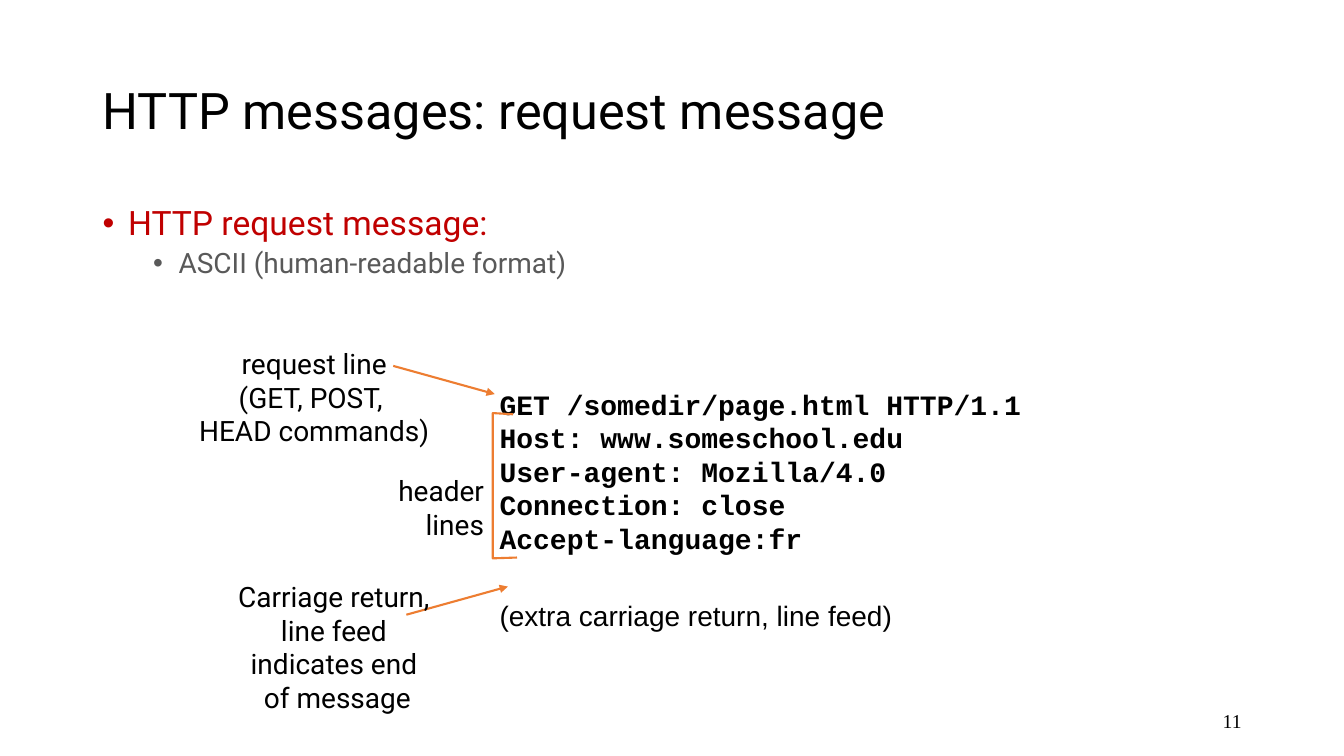
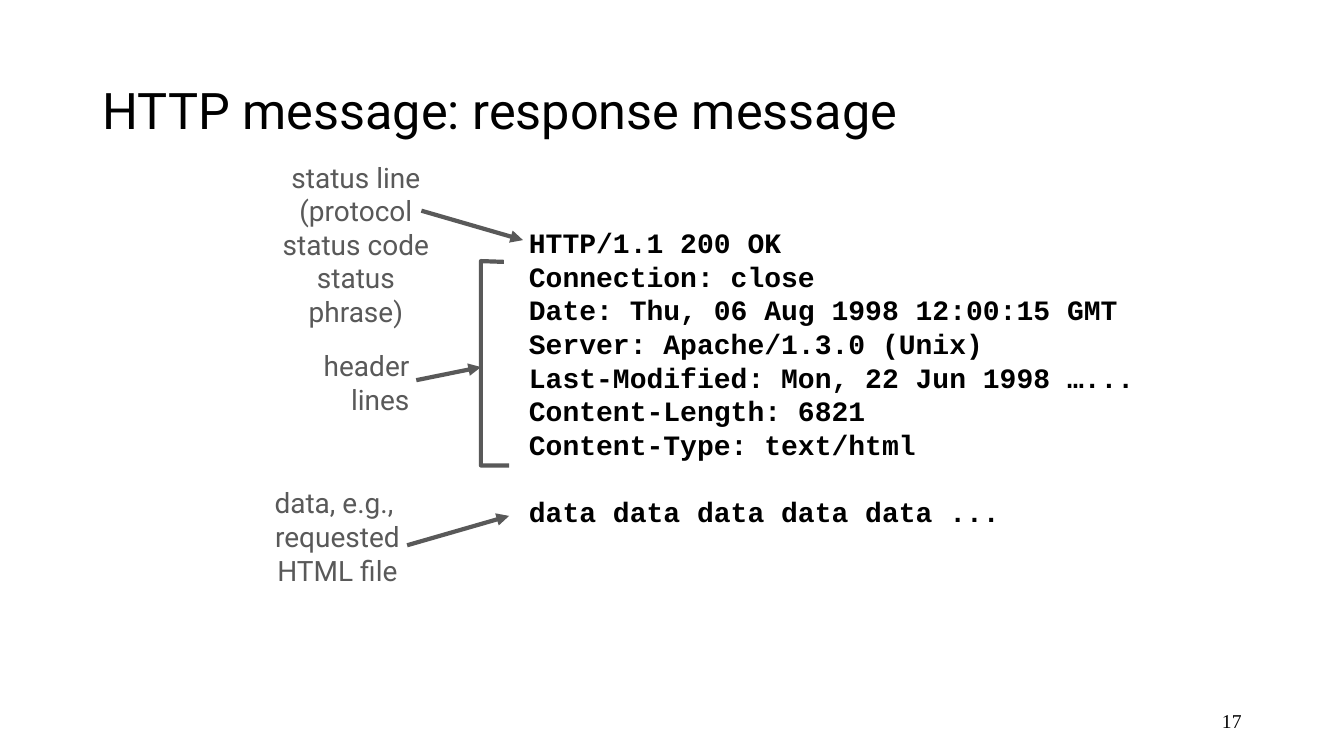
import pptx
import pptx.dml.color
import pptx.enum.shapes
import pptx.enum.text
import pptx.oxml
import pptx.oxml.ns
import pptx.util
from pptx.enum.text import MSO_ANCHOR, PP_ALIGN
from pptx.util import Cm

COLOURS = {
    "text": "000000",
    "heading": "C00000",
    "muted": "595959",
    "accent": "ED7D31",
}
SANS, MONO, PLAIN, SERIF = "Roboto", "Courier New", "Arial", "Times New Roman"
BODY_SIZE = 20
LINE_PITCH = pptx.util.Pt(24)


def add_xml(parent, tag, **attributes):
    child = pptx.oxml.parse_xml(f"<{tag} {pptx.oxml.ns.nsdecls('a')}/>")
    for key, value in attributes.items():
        child.set(key, value)
    parent.append(child)


class Deck:
    """Holds the shared style and the slide being built."""

    def __init__(self):
        self.presentation = pptx.Presentation()
        self.presentation.slide_width = Cm(33.87)
        self.presentation.slide_height = Cm(19.05)
        self.slide = None
        self.label_colour = "text"
        self.line_colour = "accent"
        self.line_width = 1.5

    def new_slide(self, title, number, label_colour, line_colour, line_width):
        self.slide = self.presentation.slides.add_slide(self.presentation.slide_layouts[6])
        self.label_colour = label_colour
        self.line_colour = line_colour
        self.line_width = line_width
        heading = self.text((2.34, 1.02, 29.21, 3.68), [title], size=36, anchor=MSO_ANCHOR.MIDDLE)
        heading[0].line_spacing = 0.9
        self.text((23.92, 17.65, 7.62, 1.02), [str(number)], size=14, face=SERIF,
                  align=PP_ALIGN.RIGHT, anchor=MSO_ANCHOR.MIDDLE)

    def text(self, box, lines, size=BODY_SIZE, face=SANS, colour="text", bold=False,
             align=PP_ALIGN.LEFT, anchor=MSO_ANCHOR.TOP, spacing=None):
        """Add one paragraph per line and return the paragraphs."""
        frame = self.slide.shapes.add_textbox(*map(Cm, box)).text_frame
        frame.word_wrap = True
        frame.vertical_anchor = anchor
        frame.text = "\n".join(lines)
        for paragraph in frame.paragraphs:
            paragraph.alignment = align
            paragraph.line_spacing = spacing
            self.style(paragraph, size, face, colour, bold)
        return frame.paragraphs

    def style(self, paragraph, size, face, colour, bold=False):
        font = paragraph.font
        font.size = pptx.util.Pt(size)
        font.name = face
        font.bold = bold
        font.color.rgb = pptx.dml.color.RGBColor.from_string(COLOURS[colour])

    def bullets(self, box, items):
        """Add bulleted items, each given as (text, level, size, colour)."""
        frame = self.slide.shapes.add_textbox(*map(Cm, box)).text_frame
        frame.word_wrap = True
        for index, (words, level, size, colour) in enumerate(items):
            paragraph = frame.add_paragraph() if index else frame.paragraphs[0]
            paragraph.text = words
            paragraph.level = level
            paragraph.line_spacing = 0.9
            if index:
                paragraph.space_before = pptx.util.Pt(5)
            properties = paragraph._p.get_or_add_pPr()
            properties.set("marL", str(Cm(0.64 + 1.27 * level)))
            properties.set("indent", str(Cm(-0.64)))
            add_xml(properties, "a:buFont", typeface=PLAIN)
            add_xml(properties, "a:buChar", char="•")
            self.style(paragraph, size, SANS, colour)

    def code(self, box, lines, last_gap):
        """Add a message listing whose last line is set apart by last_gap points."""
        paragraphs = self.text(box, lines, face=MONO, bold=True, spacing=LINE_PITCH)
        paragraphs[-1].space_before = pptx.util.Pt(last_gap)
        return paragraphs

    def label(self, box, lines, align=PP_ALIGN.CENTER):
        self.text(box, lines, colour=self.label_colour, align=align, spacing=LINE_PITCH)

    def stroke(self, line):
        line.color.rgb = pptx.dml.color.RGBColor.from_string(COLOURS[self.line_colour])
        line.width = pptx.util.Pt(self.line_width)

    def arrow(self, start, end):
        pointer = self.slide.shapes.add_connector(
            pptx.enum.shapes.MSO_CONNECTOR.STRAIGHT, *map(Cm, start + end))
        self.stroke(pointer.line)
        add_xml(pointer.line._get_or_add_ln(), "a:tailEnd", type="triangle")
        add_xml(pointer._element.spPr, "a:effectLst")

    def bracket(self, *corners):
        first, *others = [(Cm(x), Cm(y)) for x, y in corners]
        builder = self.slide.shapes.build_freeform(*first)
        builder.add_line_segments(others, close=False)
        outline = builder.convert_to_shape()
        outline.fill.background()
        outline.shadow.inherit = False
        self.stroke(outline.line)


def request_slide(deck):
    deck.new_slide("HTTP messages: request message", 11, "text", "accent", 1.5)
    deck.bullets((2.34, 5.08, 29.21, 3), [
        ("HTTP request message:", 0, 24, "heading"),
        ("ASCII (human-readable format)", 1, BODY_SIZE, "muted"),
    ])
    request = deck.code((12.34, 9.63, 14, 6.58), [
        "GET /somedir/page.html HTTP/1.1",
        "Host: www.someschool.edu",
        "User-agent: Mozilla/4.0",
        "Connection: close",
        "Accept-language:fr",
        "(extra carriage return, line feed)",
    ], last_gap=31)
    deck.style(request[-1], BODY_SIZE, PLAIN, "text")
    deck.label((4.72, 8.61, 6.4, 2.82), ["request line", "(GET, POST, ", "HEAD commands)"])
    deck.arrow((9.91, 9.22), (12.47, 9.93))
    deck.bracket((12.93, 10.44), (12.42, 10.41), (12.42, 14.07), (13.03, 14.05))
    deck.label((9.63, 11.81, 2.82, 1.96), ["header", "lines"], PP_ALIGN.RIGHT)
    deck.arrow((10.24, 15.49), (12.8, 14.78))
    deck.label((5.66, 14.48, 5.69, 3.68),
               ["Carriage return, ", "line feed ", "indicates end ", "of message"])


def response_slide(deck):
    deck.new_slide("HTTP message: response message", 17, "muted", "muted", 3)
    deck.code((13.08, 5.56, 16.5, 7.87), [
        "HTTP/1.1 200 OK",
        "Connection: close",
        "Date: Thu, 06 Aug 1998 12:00:15 GMT",
        "Server: Apache/1.3.0 (Unix)",
        "Last-Modified: Mon, 22 Jun 1998 …...",
        "Content-Length: 6821",
        "Content-Type: text/html",
        "data data data data data ...",
    ], last_gap=24)
    deck.label((6.81, 3.91, 4.32, 4.4),
               ["status line", "(protocol", "status code", "status phrase)"])
    deck.arrow((10.62, 5.31), (13.18, 6.05))
    deck.bracket((12.7, 6.6), (12.12, 6.58), (12.12, 11.73), (12.83, 11.73))
    deck.label((7.75, 8.66, 2.82, 1.96), ["header", "lines"], PP_ALIGN.RIGHT)
    deck.arrow((10.49, 9.58), (12.12, 9.25))
    deck.label((6.55, 12.12, 3.91, 2.79), ["data, e.g., ", "requested", "HTML file"])
    deck.arrow((10.26, 13.74), (12.83, 13))


def main():
    deck = Deck()
    request_slide(deck)
    response_slide(deck)
    deck.presentation.save("out.pptx")


if __name__ == "__main__":
    main()
